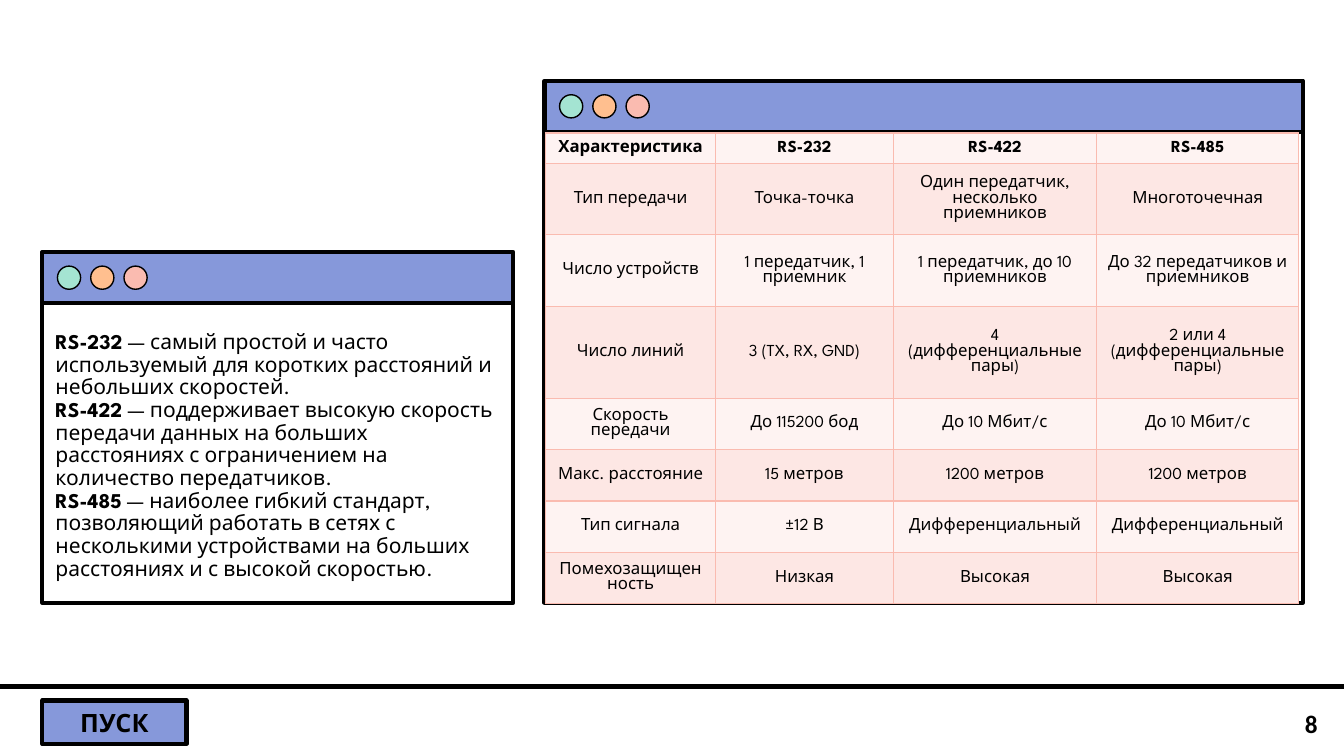
from lxml import etree
from pptx import Presentation
from pptx.dml.color import RGBColor
from pptx.enum.shapes import MSO_CONNECTOR as CONNECTOR, MSO_SHAPE as SHAPE
from pptx.enum.text import MSO_ANCHOR as ANCHOR, MSO_AUTO_SIZE as AUTO_SIZE, PP_ALIGN as ALIGN
from pptx.oxml import parse_xml
from pptx.oxml.ns import nsdecls, qn
from pptx.util import Inches, Pt


def add_run(paragraph, text, size, bold=False, font="League Spartan", color="000000"):
    run = paragraph.add_run()
    run.text = text
    run.font.name = font
    run.font.size = Pt(size)
    run.font.bold = bold
    run.font.color.rgb = RGBColor.from_string(color)


def add_box(kind, left, top, width, height, fill, line_width=3):
    shape = slide.shapes.add_shape(kind, Inches(left), Inches(top), Inches(width), Inches(height))
    shape.shadow.inherit = False
    shape.fill.solid()
    shape.fill.fore_color.rgb = RGBColor.from_string(fill)
    shape.line.color.rgb = RGBColor.from_string("000000")
    shape.line.width = Pt(line_width)
    return shape


presentation = Presentation()
presentation.slide_width = Inches(13.33)
presentation.slide_height = Inches(7.5)
slide = presentation.slides.add_slide(presentation.slide_layouts[5])

BAR_HEIGHT = 0.51
BAR_COLOR = "8698DA"
BUTTON_COLORS = ["A4E4D2", "FFBF8F", "FABBB0"]
for left, top, width, body_height in [(0.42, 2.5, 4.67, 2.97), (5.4, 0.8, 7.52, 4.67)]:
    add_box(SHAPE.RECTANGLE, left, top + BAR_HEIGHT, width, body_height, "FFFFFF")
    add_box(SHAPE.RECTANGLE, left, top, width, BAR_HEIGHT, BAR_COLOR)
    for index, color in enumerate(BUTTON_COLORS):
        add_box(SHAPE.OVAL, left + 0.15 + index * 0.33, top + 0.14, 0.23, 0.23, color, 1)

taskbar_line = slide.shapes.add_connector(
    CONNECTOR.STRAIGHT, Inches(0), Inches(6.81), Inches(13.33), Inches(6.81))
taskbar_line.line.color.rgb = RGBColor.from_string("000000")
taskbar_line.line.width = Pt(3)
etree.SubElement(taskbar_line.element.spPr, qn("a:effectLst"))

start_button = add_box(SHAPE.RECTANGLE, 0.42, 6.95, 1.43, 0.43, BAR_COLOR)
start_button.text_frame.vertical_anchor = ANCHOR.MIDDLE
paragraph = start_button.text_frame.paragraphs[0]
paragraph.alignment = ALIGN.CENTER
add_run(paragraph, "ПУСК", 18, True)

summaries = [
    ("RS-232", " — самый простой и часто используемый для коротких расстояний и небольших скоростей."),
    ("RS-422", " — поддерживает высокую скорость передачи данных на больших расстояниях "
               "с ограничением на количество передатчиков."),
    ("RS-485", " — наиболее гибкий стандарт, позволяющий работать в сетях с несколькими "
               "устройствами на больших расстояниях и с высокой скоростью."),
]
title = slide.shapes.title
slide.shapes.element.append(title.element)
title.left, title.top = Inches(0.45), Inches(3.08)
title.width, title.height = Inches(4.56), Inches(2.89)
title.text_frame.word_wrap = True
title.text_frame.auto_size = AUTO_SIZE.NONE
title.text_frame.vertical_anchor = ANCHOR.MIDDLE
paragraph = title.text_frame.paragraphs[0]
paragraph.alignment = ALIGN.LEFT
paragraph.line_spacing = 0.9
for index, (standard, summary) in enumerate(summaries):
    if index:
        paragraph.add_line_break()
    add_run(paragraph, standard, 15, True)
    add_run(paragraph, summary, 15)

page_number = slide.shapes.add_textbox(Inches(12.66), Inches(6.81), Inches(0.69), Inches(0.69))
page_number.text_frame.word_wrap = True
page_number.text_frame.margin_top = Inches(0.1)
page_number.text_frame.vertical_anchor = ANCHOR.MIDDLE
paragraph = page_number.text_frame.paragraphs[0]
paragraph.alignment = ALIGN.CENTER
add_run(paragraph, "8", 18, True, "Calibri")

rows = [
    ["Характеристика", "RS-232", "RS-422", "RS-485"],
    ["Тип передачи", "Точка-точка", "Один передатчик, несколько приемников", "Многоточечная"],
    ["Число устройств", "1 передатчик, 1 приемник", "1 передатчик, до 10 приемников",
     "До 32 передатчиков и приемников"],
    ["Число линий", "3 (TX, RX, GND)", "4 (дифференциальные пары)", "2 или 4 (дифференциальные пары)"],
    ["Скорость передачи", "До 115200 бод", "До 10 Мбит/с", "До 10 Мбит/с"],
    ["Макс. расстояние", "15 метров", "1200 метров", "1200 метров"],
    ["Тип сигнала", "±12 В", "Дифференциальный", "Дифференциальный"],
    ["Помехозащищенность", "Низкая", "Высокая", "Высокая"],
]
column_widths = [1.69, 1.76, 2.02, 2]
row_heights = [0.3, 0.71, 0.71, 0.91, 0.51, 0.51, 0.51, 0.51]
table = slide.shapes.add_table(
    len(rows), len(column_widths), Inches(5.41), Inches(1.32), Inches(7.47), Inches(4.65)).table
for column, width in zip(table.columns, column_widths):
    column.width = Inches(width)
for row_index, (texts, height) in enumerate(zip(rows, row_heights)):
    table.rows[row_index].height = Inches(height)
    for column_index, text in enumerate(texts):
        cell = table.cell(row_index, column_index)
        cell.vertical_anchor = ANCHOR.MIDDLE
        paragraph = cell.text_frame.paragraphs[0]
        paragraph.alignment = ALIGN.CENTER
        add_run(paragraph, text, 12, row_index == 0)
        cell_properties = cell._tc.get_or_add_tcPr()
        for side in ["lnL", "lnR", "lnT", "lnB"]:
            cell_properties.append(parse_xml(
                f'<a:{side} {nsdecls("a")} w="12700"><a:solidFill>'
                f'<a:srgbClr val="FABBB0"/></a:solidFill></a:{side}>'))
        cell.fill.solid()
        cell.fill.fore_color.rgb = RGBColor.from_string("FDE7E4" if row_index % 2 else "FEF3F2")

presentation.save("out.pptx")
